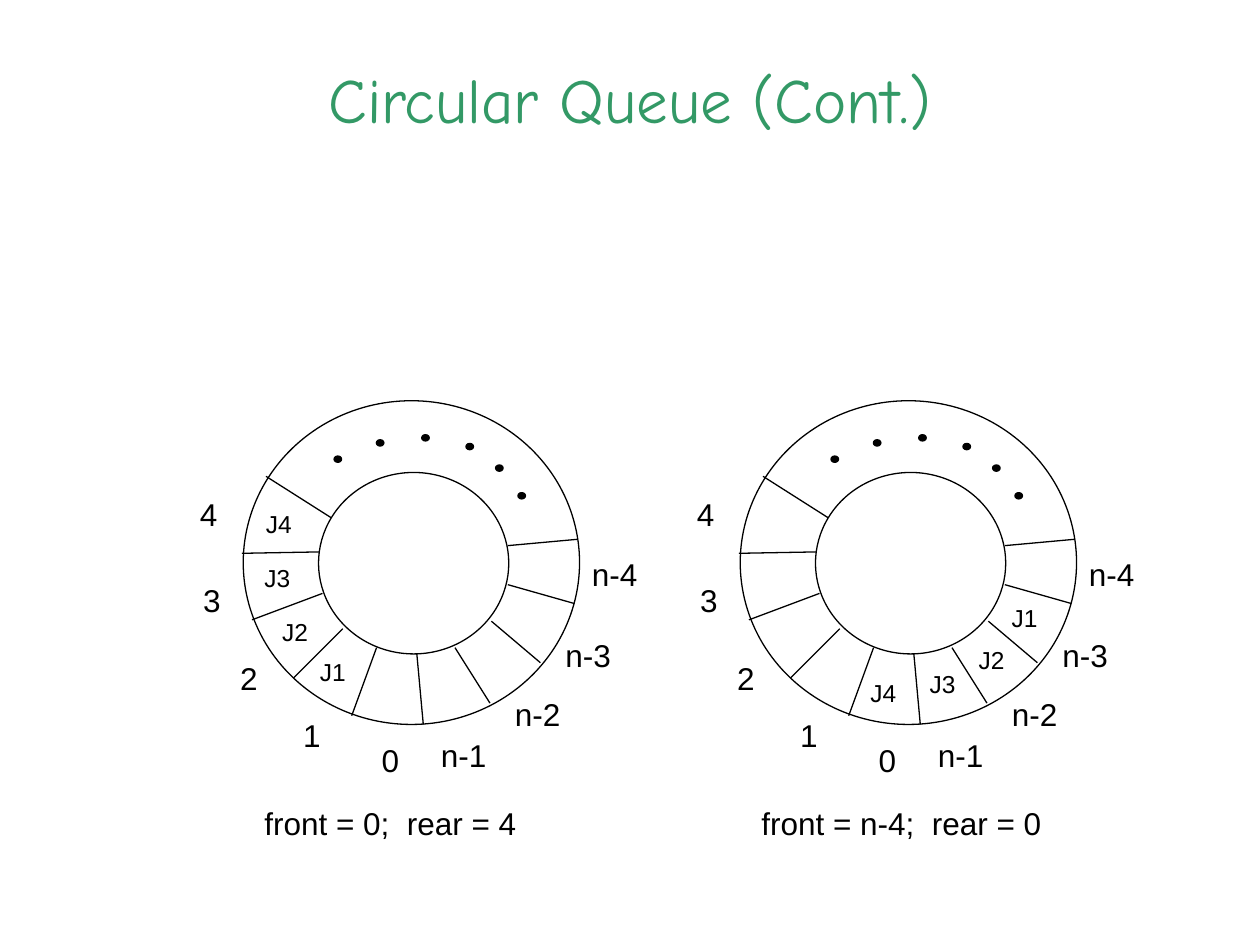
from pptx import Presentation
from pptx.dml.color import RGBColor
from pptx.enum.shapes import MSO_CONNECTOR, MSO_SHAPE
from pptx.enum.text import MSO_ANCHOR, MSO_AUTO_SIZE, PP_ALIGN
from pptx.oxml.ns import qn
from pptx.util import Pt
from lxml.etree import SubElement


def color(hex_string):
    return RGBColor.from_string(hex_string)


class SlideWriter:
    """Holds the style and the slide; lengths are in points."""
    ink = "000000"
    title_color = "339966"
    font = "Arial"
    title_font = "Comic Neue"
    line_width = 0.75

    def __init__(self, slide):
        self.slide = slide

    def format_run(self, paragraph, size, font, hex_string):
        for run in paragraph.runs:
            run.font.size = Pt(size)
            run.font.name = font
            run.font.color.rgb = color(hex_string)

    def title(self, text, left, top, width, height):
        shape = self.slide.shapes.title
        shape.left, shape.top = Pt(left), Pt(top)
        shape.width, shape.height = Pt(width), Pt(height)
        text_frame = shape.text_frame
        text_frame.text = text
        text_frame.vertical_anchor = MSO_ANCHOR.BOTTOM
        paragraph = text_frame.paragraphs[0]
        paragraph.alignment = PP_ALIGN.CENTER
        self.format_run(paragraph, 36, self.title_font, self.title_color)

    def label(self, text, left, top, width, size=18):
        height = size * 1.15 + 7.2
        shape = self.slide.shapes.add_textbox(
            Pt(left), Pt(top), Pt(width), Pt(height))
        text_frame = shape.text_frame
        text_frame.word_wrap = True
        text_frame.auto_size = MSO_AUTO_SIZE.SHAPE_TO_FIT_TEXT
        text_frame.text = text
        paragraph = text_frame.paragraphs[0]
        paragraph.space_before = Pt(round(size * 0.625, 1))
        self.format_run(paragraph, size, self.font, self.ink)

    def ellipse(self, left, top, width, height, fill=None):
        shape = self.slide.shapes.add_shape(
            MSO_SHAPE.OVAL, Pt(left), Pt(top), Pt(width), Pt(height))
        shape.shadow.inherit = False
        if fill:
            shape.fill.solid()
            shape.fill.fore_color.rgb = color(fill)
        else:
            shape.fill.background()
        shape.line.color.rgb = color(self.ink)
        shape.line.width = Pt(self.line_width)

    def line(self, start_x, start_y, end_x, end_y):
        connector = self.slide.shapes.add_connector(
            MSO_CONNECTOR.STRAIGHT,
            Pt(start_x), Pt(start_y), Pt(end_x), Pt(end_y))
        connector.line.color.rgb = color(self.ink)
        connector.line.width = Pt(self.line_width)
        SubElement(connector._element.spPr, qn("a:effectLst"))

    def queue(self, left, top, caption, jobs):
        # Outer and inner circle
        self.ellipse(left, top, 192.2, 185)
        self.ellipse(left + 43, top + 41, 108.7, 103.7)
        # Walls between the cells
        for start_x, start_y, end_x, end_y in WALLS:
            self.line(left + start_x, top + start_y, left + end_x, top + end_y)
        # Dots for the cells left out
        for x, y in DOTS:
            self.ellipse(left + x, top + y, 4.3, 3.6, self.ink)
        # Cell numbers, jobs and caption
        for text, x, y in INDEXES:
            self.label(text, left + x, top + y, 25 if len(text) == 1 else 45)
        for text, x, y in jobs:
            self.label(text, left + x, top + y, 33, 14)
        self.label(caption, left + 5, top + 226.8, 183)


# Positions relative to the top left corner of a ring
WALLS = [
    (99.2, 144.7, 102.9, 185), (76.2, 141.1, 62, 180),
    (121, 141.1, 141, 172.8), (141.8, 126, 169.8, 149.7),
    (151.2, 105.1, 189.3, 115.9), (151.2, 82.8, 190.8, 79.2),
    (56.9, 130.3, 28.8, 158.4), (45.3, 110.1, 5, 125.2),
    (43.2, 86.4, -0.8, 87.2), (50.3, 66.9, 13, 43.2),
]
DOTS = [(51.9, 31.6), (76.1, 22.3), (102, 19.4),
        (127.3, 24.4), (144.2, 36.7), (157, 52.5)]
INDEXES = [
    ("0", 72, 190.8), ("1", 27.2, 176.4), ("2", -8.8, 144),
    ("3", -30, 99.3), ("4", -31.8, 50.4), ("n-1", 105.9, 187.9),
    ("n-2", 148.2, 164.8), ("n-3", 177, 131), ("n-4", 192.2, 84.9),
]
LEFT_JOBS = [("J1", 36.7, 143.2), ("J2", 15.1, 120.2),
             ("J3", 5, 89.2), ("J4", 5.9, 58.3)]
RIGHT_JOBS = [("J1", 148, 112.3), ("J2", 129.2, 136),
              ("J3", 101.2, 149.7), ("J4", 67.3, 154.8)]


def main():
    presentation = Presentation()
    presentation.slide_width, presentation.slide_height = Pt(720), Pt(540)
    slide = presentation.slides.add_slide(presentation.slide_layouts[5])
    writer = SlideWriter(slide)
    writer.title("Circular Queue (Cont.)", 52.5, 18, 615, 63.4)
    writer.queue(139, 229, "front = 0;  rear = 4", LEFT_JOBS)
    writer.queue(423, 229, "front = n-4;  rear = 0", RIGHT_JOBS)
    presentation.save("out.pptx")


if __name__ == "__main__":
    main()
